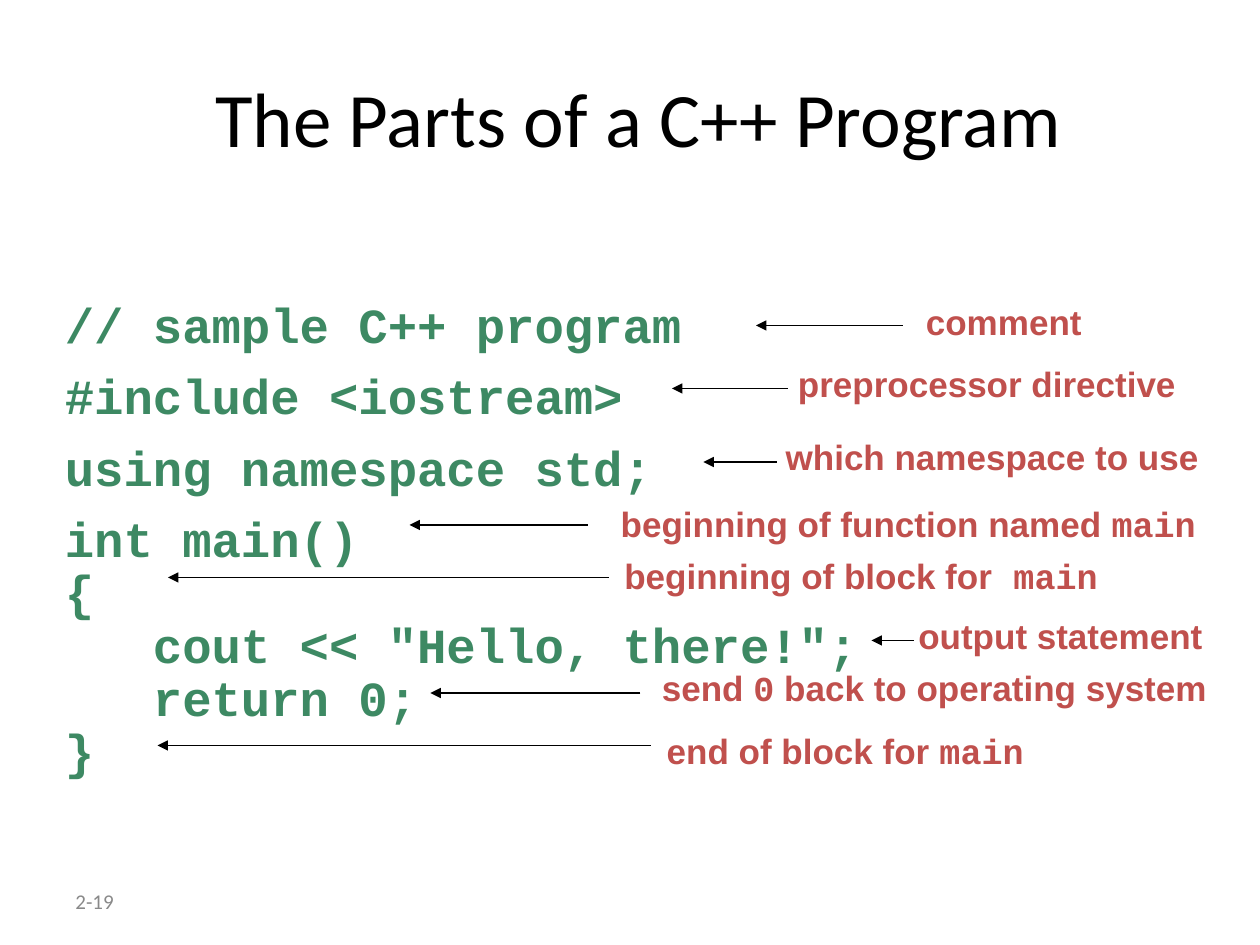
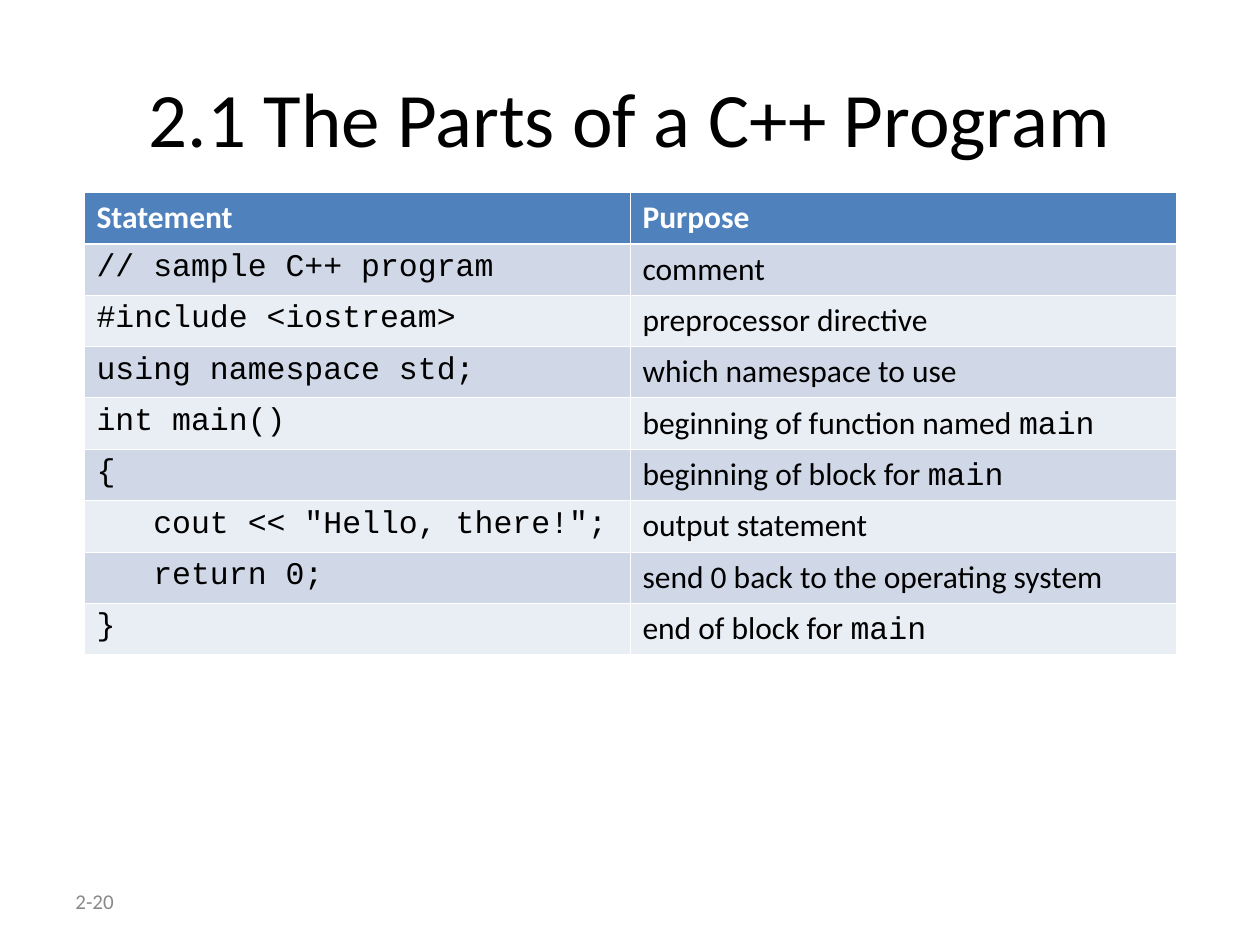
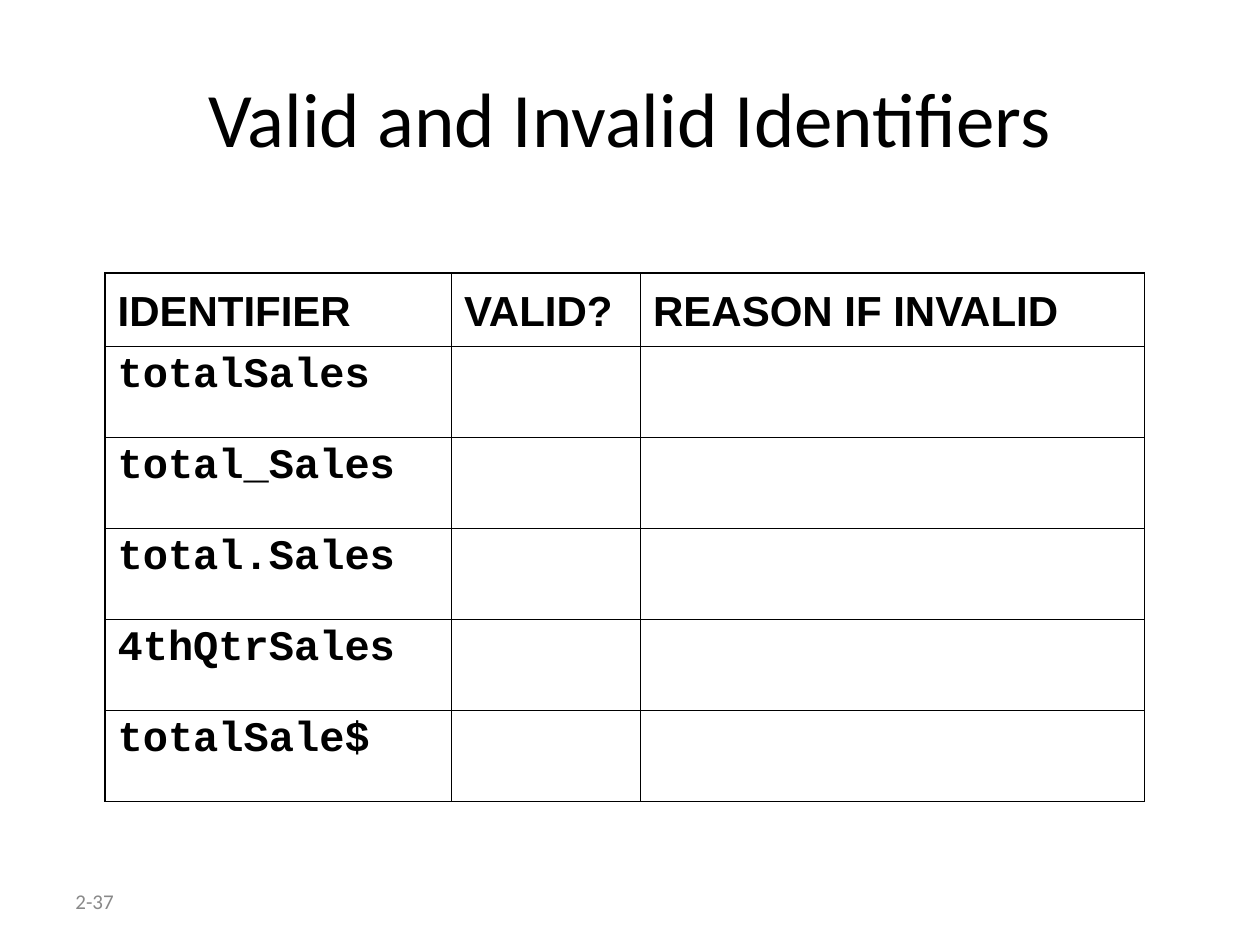
from pptx import Presentation
from pptx.dml.color import RGBColor
from pptx.enum.shapes import MSO_CONNECTOR
from pptx.enum.text import MSO_ANCHOR, PP_ALIGN
from pptx.oxml.ns import qn
from pptx.util import Emu, Inches, Pt
from lxml.etree import SubElement, Element

COLS, ROWS = 120, 90
SLIDE_W, SLIDE_H = Inches(10), Inches(7.5)
SANS, LABEL, MONO = "Calibri", "Arial", "Courier New"
BLACK, WHITE, GREY = "000000", "FFFFFF", "898989"
GREEN, RED, BLUE = "3D8963", "C0504D", "4F81BD"
BANDS = ("D0D8E8", "E9EDF4")
THIN, HEADER_RULE, FRAME = 0.45, 1.47, 1.08

LISTING = [
    "// sample C++ program",
    "#include <iostream>",
    "using namespace std;",
    "int main()",
    "{",
    '   cout << "Hello, there!";',
    "   return 0;",
    "}",
]
PURPOSES = [
    "comment",
    "preprocessor directive",
    "which namespace to use",
    "beginning of function named `main`",
    "beginning of block for `main`",
    "output statement",
    "send 0 back to the operating system",
    "end of block for `main`",
]
CALLOUTS = [
    ("comment", (87, 28, 24), 1, (86, 72, 31)),
    ("preprocessor directive", (72, 35, 44), 0.7, (75, 64, 37)),
    ("which namespace to use", (72, 42, 45), 0.7, (74, 67, 44)),
    ("beginning of function named `main`", (57, 48, 59), 0.8, (56, 39, 50)),
    ("beginning of block for` main`", (57, 53, 50), 0.8, (58, 16, 55)),
    ("output statement", (85, 59, 32), 0.7, (87, 83, 61)),
    ("send `0` back to operating system", (61, 64, 56), 0.7, (61, 41, 66)),
    ("end of block for `main`", (60, 70, 41), 0.7, (62, 15, 71)),
]
IDENTIFIERS = ["totalSales", "total_Sales", "total.Sales", "4thQtrSales", "totalSale$"]


def color(value):
    return RGBColor.from_string(value)


def x(cols):
    return Emu(round(SLIDE_W * cols / COLS))


def y(rows):
    return Emu(round(SLIDE_H * rows / ROWS))


def write(tf, lines, size=18, font=SANS, fill=BLACK, bold=False,
          align=PP_ALIGN.LEFT, spacing=1, before=()):
    for i, line in enumerate(lines):
        p = tf.paragraphs[0] if i == 0 else tf.add_paragraph()
        p.alignment = align
        p.line_spacing = spacing
        p.space_before = Pt(before[i] if before else 0)
        for j, part in enumerate(line.split("`")):
            if part:
                r = p.add_run()
                r.text = part
                r.font.name = MONO if j % 2 else font
                r.font.size = Pt(size)
                r.font.bold = bold
                r.font.color.rgb = color(fill)


def add_text(s, box, lines, anchor=MSO_ANCHOR.TOP, **style):
    left, top, width, height = box
    tf = s.shapes.add_textbox(x(left), y(top), x(width), y(height)).text_frame
    tf.word_wrap = True
    tf.vertical_anchor = anchor
    write(tf, lines, **style)


def add_arrow(s, start, end, row):
    c = s.shapes.add_connector(MSO_CONNECTOR.STRAIGHT, x(start), y(row), x(end), y(row))
    c.line.color.rgb = color(BLACK)
    c.line.width = Pt(0.74)
    SubElement(c.line._get_or_add_ln(), qn("a:tailEnd"), type="triangle")
    SubElement(c._element.spPr, qn("a:effectLst"))


def set_borders(cell, fill, widths):
    for i, (side, width) in enumerate(zip("LRTB", widths)):
        ln = Element(qn(f"a:ln{side}"), w=str(Pt(width)))
        solid = SubElement(ln, qn("a:solidFill"))
        SubElement(solid, qn("a:srgbClr"), val=fill)
        cell._tc.get_or_add_tcPr().insert(i, ln)


def add_grid(s, left, top, widths, heights):
    table = s.shapes.add_table(len(heights), len(widths), x(left), y(top),
                               x(sum(widths)), y(sum(heights))).table
    for col, width in zip(table.columns, widths):
        col.width = x(width)
    for row, height in zip(table.rows, heights):
        row.height = y(height)
    return table


def add_slide(prs, title, number):
    s = prs.slides.add_slide(prs.slide_layouts[6])
    add_text(s, (6, 3.6, 108, 15), [title], anchor=MSO_ANCHOR.MIDDLE,
             size=44, align=PP_ALIGN.CENTER)
    add_text(s, (6, 83.4, 28, 4.8), [number], anchor=MSO_ANCHOR.MIDDLE,
             size=12, fill=GREY)
    return s


def build_program(prs):
    s = add_slide(prs, " The Parts of a C++ Program", "2-19")
    add_text(s, (5, 28.1, 110, 50), LISTING, size=28, font=MONO, fill=GREEN, bold=True,
             spacing=0.9, before=[0] + [10.5] * 3 + [0] * 4)
    for label, (left, top, width), spacing, arrow in CALLOUTS:
        align = PP_ALIGN.LEFT if spacing == 1 else PP_ALIGN.CENTER
        add_text(s, (left, top, width, 4.4), [label], size=20, font=LABEL, fill=RED,
                 bold=True, align=align, spacing=spacing)
        add_arrow(s, *arrow)


def build_purposes(prs):
    s = add_slide(prs, "2.1 The Parts of a C++ Program", "2-20")
    rows = [("Statement", "Purpose"), *zip(LISTING, PURPOSES)]
    table = add_grid(s, 8, 18.33, [52, 52], [4.89] * len(rows))
    for i, row in enumerate(rows):
        head = i == 0
        for j, value in enumerate(row):
            cell = table.cell(i, j)
            cell.fill.solid()
            cell.fill.fore_color.rgb = color(BLUE if head else BANDS[(i - 1) % 2])
            set_borders(cell, WHITE, (THIN, THIN, HEADER_RULE if i == 1 else THIN,
                                      HEADER_RULE if head else THIN))
            write(cell.text_frame, [value], font=SANS if head or j else MONO,
                  fill=WHITE if head else BLACK, bold=head)


def build_identifiers(prs):
    s = add_slide(prs, "Valid and Invalid Identifiers", "2-37")
    rows = [("IDENTIFIER", "VALID?", "REASON IF INVALID"),
            *((name, "", "") for name in IDENTIFIERS)]
    table = add_grid(s, 10, 26, [33, 18, 48], [7] + [8.67] * len(IDENTIFIERS))
    last_row, last_col = len(rows) - 1, len(rows[0]) - 1
    for i, row in enumerate(rows):
        for j, value in enumerate(row):
            cell = table.cell(i, j)
            cell.fill.background()
            edges = (j == 0, j == last_col, i == 0, i == last_row)
            set_borders(cell, BLACK, [FRAME if edge else THIN for edge in edges])
            if value:
                write(cell.text_frame, [value], size=24, font=MONO if i else LABEL,
                      bold=True, spacing=1 if i else 1.2, before=[6])


def main():
    prs = Presentation()
    prs.slide_width, prs.slide_height = SLIDE_W, SLIDE_H
    build_program(prs)
    build_purposes(prs)
    build_identifiers(prs)
    prs.save("out.pptx")


main()
